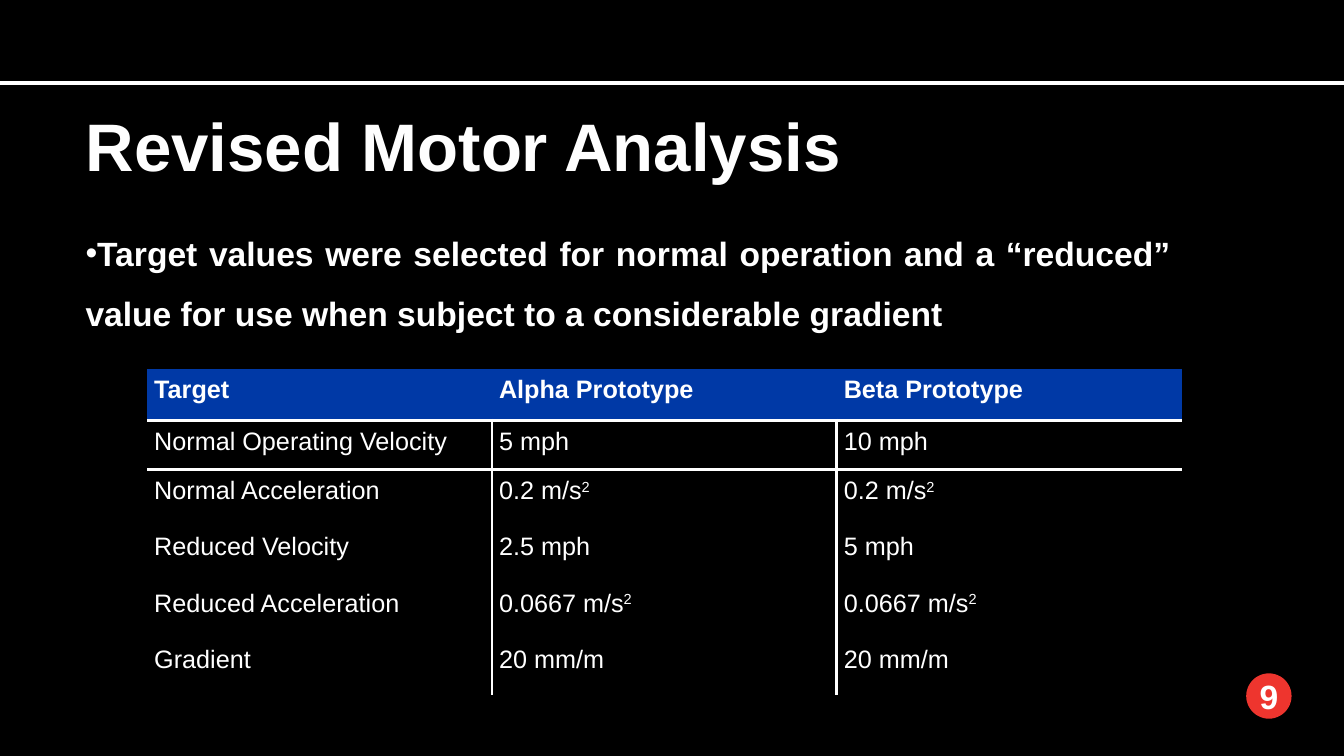
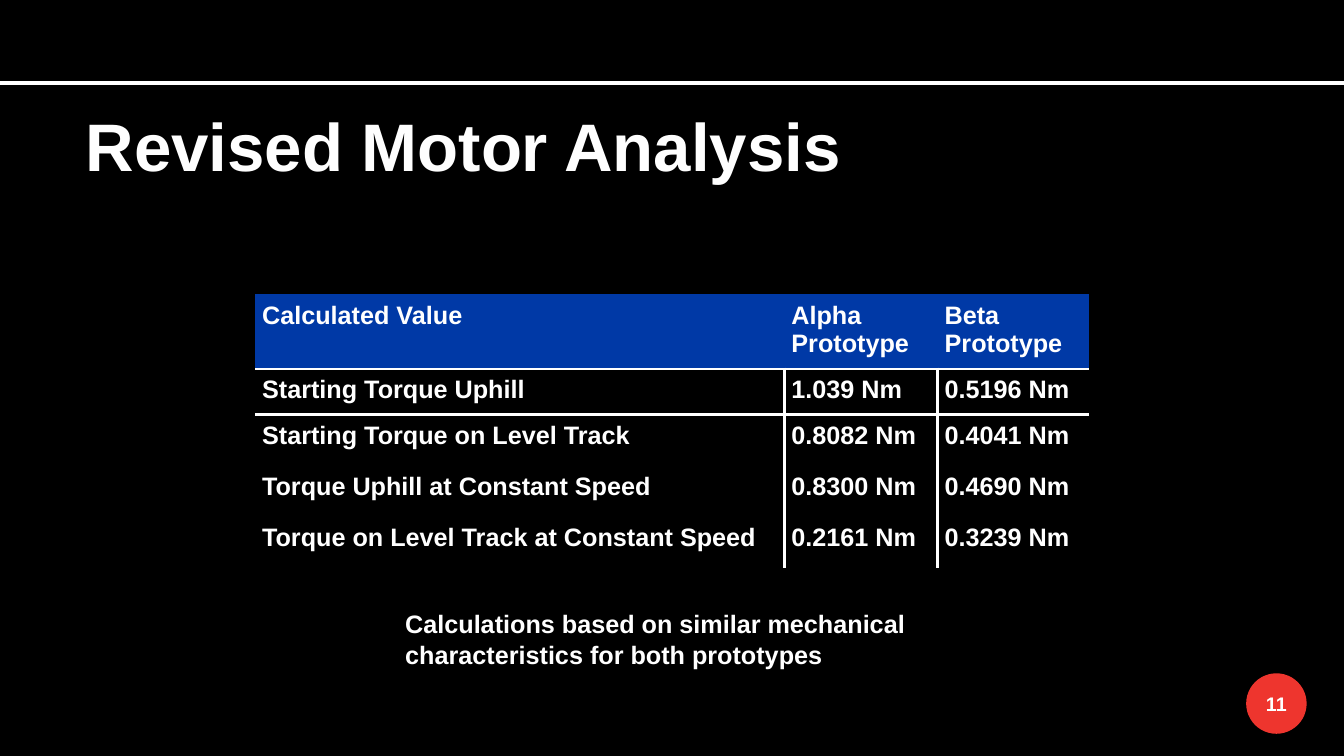
"""Build two slides on the revised motor analysis."""
import dataclasses

import lxml.etree
import pptx
import pptx.dml.color
import pptx.enum.shapes
import pptx.enum.text
import pptx.oxml.ns
import pptx.presentation
import pptx.shapes.autoshape
import pptx.slide
import pptx.table
import pptx.text.text
import pptx.util

Inches = pptx.util.Inches
Pt = pptx.util.Pt
Color = pptx.dml.color.RGBColor
Align = pptx.enum.text.PP_ALIGN
Anchor = pptx.enum.text.MSO_ANCHOR
qn = pptx.oxml.ns.qn


@dataclasses.dataclass(frozen=True)
class Theme:
    font: str = "Arial"
    back: str = "000000"
    white: str = "FFFFFF"
    title: str = "FEFEFE"
    blue: str = "0039A6"
    red: str = "EE352E"
    head: float = 48
    body: float = 24
    small: float = 18
    rule: float = 3
    edge: float = 2.25
    no_grid: str = "{2D5ABB26-0587-4C30-8999-92F81FD0307C}"


@dataclasses.dataclass(frozen=True)
class Box:
    left: float
    top: float
    width: float
    height: float


@dataclasses.dataclass(frozen=True)
class Grid:
    left: float
    top: float
    cols: list[float]
    rows: list[float]
    cells: list[list[str]]
    bold: bool


@dataclasses.dataclass(frozen=True)
class Badge:
    text: str
    side: float
    size: float


THEME = Theme()
WIDTH = 13.33
RULE_Y = 0.82
TITLE = Box(0.75, RULE_Y, 11.84, 1.24)

TARGETS = Grid(
    1.46, 3.66, [3.42] * 3, [0.51, 0.49] + [0.56] * 4,
    [
        ["Target", "Alpha Prototype", "Beta Prototype"],
        ["Normal Operating Velocity", "5 mph", "10 mph"],
        ["Normal Acceleration", "0.2 m/s^2", "0.2 m/s^2"],
        ["Reduced Velocity", "2.5 mph", "5 mph"],
        ["Reduced Acceleration", "0.0667 m/s^2", "0.0667 m/s^2"],
        ["Gradient", "20 mm/m", "20 mm/m"],
    ],
    False,
)
TORQUES = Grid(
    2.53, 2.92, [5.25, 1.52, 1.5], [0.71, 0.45] + [0.51] * 3,
    [
        ["Calculated Value", "Alpha Prototype", "Beta Prototype"],
        ["Starting Torque Uphill", "1.039 Nm", "0.5196 Nm"],
        ["Starting Torque on Level Track", "0.8082 Nm", "0.4041 Nm"],
        ["Torque Uphill at Constant Speed", "0.8300 Nm", "0.4690 Nm"],
        ["Torque on Level Track at Constant Speed", "0.2161 Nm", "0.3239 Nm"],
    ],
    True,
)


def rgb(code: str) -> Color:
    return Color.from_string(code)


def style(para: pptx.text.text._Paragraph, size: float,
          bold: bool = True, color: str = THEME.white) -> None:
    font = para.font
    font.name = THEME.font
    font.size = Pt(size)
    font.bold = bold
    font.color.rgb = rgb(color)


def write(para: pptx.text.text._Paragraph, text: str) -> None:
    base, _, power = text.partition("^")
    para.add_run().text = base
    if power:
        run = para.add_run()
        run.text = power
        run._r.get_or_add_rPr().set("baseline", "30000")


def add_text(slide: pptx.slide.Slide, box: Box, text: str,
             anchor: Anchor = Anchor.TOP) -> pptx.text.text._Paragraph:
    shape = slide.shapes.add_textbox(
        Inches(box.left), Inches(box.top), Inches(box.width), Inches(box.height))
    frame = shape.text_frame
    frame.word_wrap = True
    frame.vertical_anchor = anchor
    para = frame.paragraphs[0]
    write(para, text)
    return para


def add_point(slide: pptx.slide.Slide, box: Box, text: str) -> None:
    para = add_text(slide, box, text)
    para.alignment = Align.JUSTIFY
    para.line_spacing = 1.5
    props = para._p.get_or_add_pPr()
    props.set("marL", "0")
    props.set("indent", "0")
    lxml.etree.SubElement(props, qn("a:buFont")).set("typeface", THEME.font)
    lxml.etree.SubElement(props, qn("a:buChar")).set("char", "•")
    style(para, THEME.body)


def add_edge(cell: pptx.table._Cell, side: str) -> None:
    props = cell._tc.get_or_add_tcPr()
    line = lxml.etree.SubElement(props, qn(f"a:ln{side}"), w=str(Pt(THEME.edge)))
    fill = lxml.etree.SubElement(line, qn("a:solidFill"))
    lxml.etree.SubElement(fill, qn("a:srgbClr"), val=THEME.white)


def add_cell(cell: pptx.table._Cell, text: str, row: int, col: int, bold: bool) -> None:
    cell.margin_left = cell.margin_right = Inches(0.07)
    cell.margin_top = cell.margin_bottom = Inches(0.07)
    para = cell.text_frame.paragraphs[0]
    write(para, text)
    style(para, THEME.small, bold or row == 0)
    if row and col == 1:
        add_edge(cell, "L")
    if row and col == 0:
        add_edge(cell, "R")
    if row == 1:
        add_edge(cell, "T")
    if row == 0:
        add_edge(cell, "B")
        cell.fill.solid()
        cell.fill.fore_color.rgb = rgb(THEME.blue)
    else:
        cell.fill.background()


def add_grid(slide: pptx.slide.Slide, grid: Grid) -> None:
    frame = slide.shapes.add_table(
        len(grid.rows), len(grid.cols), Inches(grid.left), Inches(grid.top),
        Inches(sum(grid.cols)), Inches(sum(grid.rows)))
    table = frame.table
    table.horz_banding = False
    table._tbl.tblPr.find(qn("a:tableStyleId")).text = THEME.no_grid
    for col, width in zip(table.columns, grid.cols):
        col.width = Inches(width)
    for row, height in zip(table.rows, grid.rows):
        row.height = Inches(height)
    for row, texts in enumerate(grid.cells):
        for col, text in enumerate(texts):
            add_cell(table.cell(row, col), text, row, col, grid.bold)


def add_badge(slide: pptx.slide.Slide, badge: Badge) -> None:
    side = Inches(badge.side)
    shape = slide.shapes.add_shape(
        pptx.enum.shapes.MSO_SHAPE.OVAL, Inches(12.36), Inches(6.68), side, side)
    shape.shadow.inherit = False
    shape.fill.solid()
    shape.fill.fore_color.rgb = rgb(THEME.red)
    shape.line.fill.background()
    frame = shape.text_frame
    frame.word_wrap = False
    frame.vertical_anchor = Anchor.MIDDLE
    frame.margin_left = frame.margin_right = 0
    frame.margin_top = frame.margin_bottom = 0
    para = frame.paragraphs[0]
    para.alignment = Align.CENTER
    write(para, badge.text)
    style(para, badge.size)


def add_slide(deck: pptx.presentation.Presentation, title: str,
              grid: Grid, badge: Badge) -> pptx.slide.Slide:
    slide = deck.slides.add_slide(deck.slide_layouts[6])
    rule = slide.shapes.add_connector(
        pptx.enum.shapes.MSO_CONNECTOR.STRAIGHT,
        Inches(0), Inches(RULE_Y), Inches(WIDTH), Inches(RULE_Y))
    rule.line.color.rgb = rgb(THEME.white)
    rule.line.width = Pt(THEME.rule)
    lxml.etree.SubElement(rule._element.spPr, qn("a:effectLst"))
    style(add_text(slide, TITLE, title, Anchor.MIDDLE), THEME.head, color=THEME.title)
    add_grid(slide, grid)
    add_badge(slide, badge)
    return slide


def main() -> None:
    deck = pptx.Presentation()
    deck.slide_width = Inches(WIDTH)
    deck.slide_height = Inches(7.5)
    back = deck.slide_master.background.fill
    back.solid()
    back.fore_color.rgb = rgb(THEME.back)

    title = "Revised Motor Analysis"
    slide = add_slide(deck, title, TARGETS, Badge("9", 0.45, 24))
    add_point(slide, Box(0.75, 2.06, 10.96, 1.24),
              "Target values were selected for normal operation and a “reduced” "
              "value for use when subject to a considerable gradient")

    slide = add_slide(deck, title, TORQUES, Badge("11", 0.6, 14))
    note = add_text(slide, Box(3.92, 5.99, 5.58, 0.75),
                    "Calculations based on similar mechanical "
                    "characteristics for both prototypes")
    style(note, THEME.small)
    deck.save("out.pptx")


if __name__ == "__main__":
    main()
